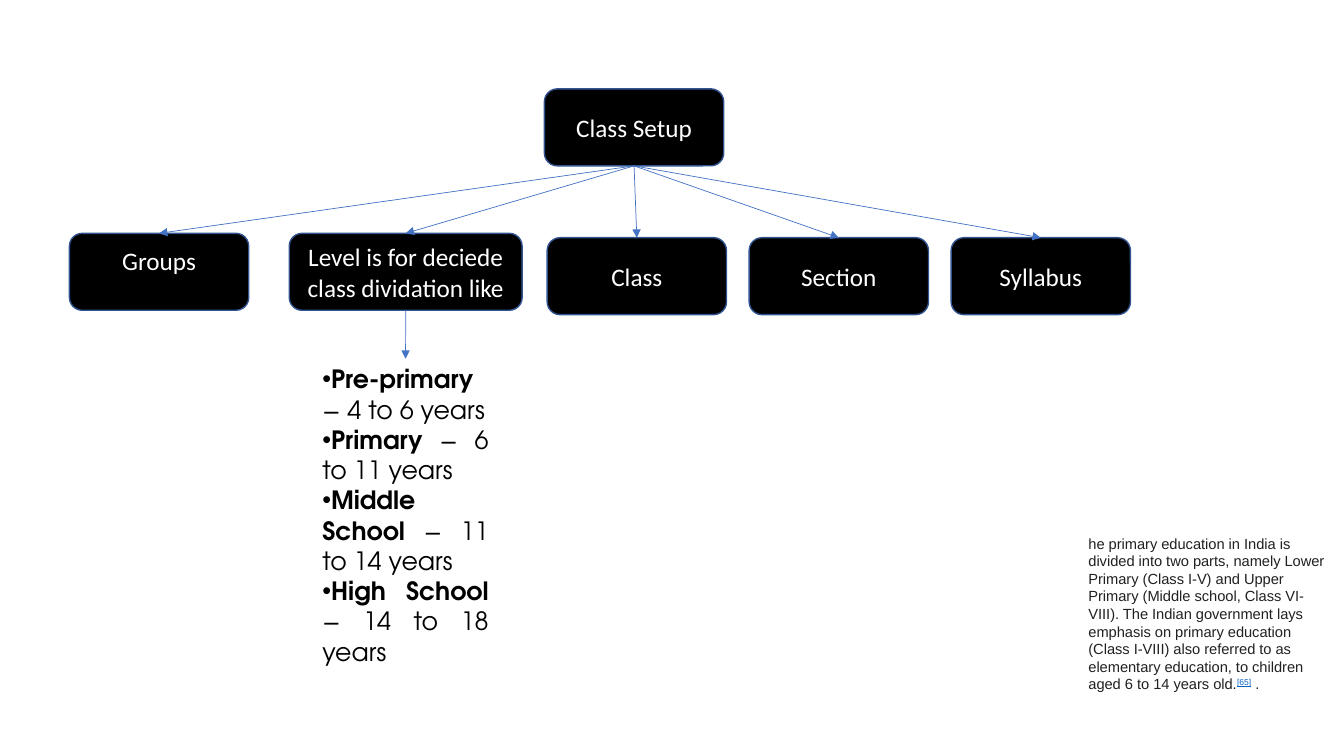
from lxml.etree import SubElement
from pptx import Presentation
from pptx.dml.color import RGBColor
from pptx.enum.shapes import MSO_CONNECTOR as CONN, MSO_SHAPE as SHAPE
from pptx.enum.text import MSO_ANCHOR as ANCHOR, MSO_AUTO_SIZE as FIT, PP_ALIGN as ALIGN
from pptx.oxml.ns import qn
from pptx.util import Cm, Pt

TOP, BOTTOM = 0, 2  # connection sites of a box


def rgb(value):
    return RGBColor.from_string(value)


def apply(target, formats):
    for name, value in formats.items():
        setattr(target, name, value)


class ClassChart:
    BOX_FILL, BOX_LINE, ARROW = "000000", "325491", "4472C4"
    BOX_FONT = {"name": "Calibri", "size": Pt(18)}
    LIST_FONT = {"name": "TeX Gyre Adventor", "size": Pt(18)}
    NOTE_FONT = {"name": "Arial", "size": Pt(10.5)}

    def __init__(self, prs):
        self.s = prs.slides.add_slide(prs.slide_layouts[1])
        title = self.s.shapes.title
        title.element.getparent().remove(title.element)

    def run(self, p, text, font, color, **extra):
        r = p.add_run()
        r.text = text
        apply(r.font, {**font, **extra})
        r.font.color.rgb = rgb(color)
        return r

    def box(self, text, x, y, w=4.52, **frame):
        sp = self.s.shapes.add_shape(SHAPE.ROUNDED_RECTANGLE, Cm(x), Cm(y), Cm(w), Cm(1.94))
        sp.shadow.inherit = False
        sp.fill.solid()
        sp.fill.fore_color.rgb = rgb(self.BOX_FILL)
        sp.line.color.rgb = rgb(self.BOX_LINE)
        sp.line.width = Pt(1)
        tf = sp.text_frame
        apply(tf, {"word_wrap": True, "vertical_anchor": ANCHOR.MIDDLE, **frame})
        p = tf.paragraphs[0]
        p.alignment = ALIGN.CENTER
        self.run(p, text, self.BOX_FONT, "FFFFFF")
        return sp

    def arrow(self, start, end):
        line = self.s.shapes.add_connector(CONN.STRAIGHT, 0, 0, 0, 0)
        line.begin_connect(start, BOTTOM)
        line.end_connect(end, TOP)
        line.line.color.rgb = rgb(self.ARROW)
        line.line.width = Pt(0.5)
        SubElement(line.line._get_or_add_ln(), qn("a:tailEnd"), type="triangle")
        SubElement(line.element.spPr, qn("a:effectLst"))

    def bullets(self, items, x, y, w, h):
        sp = self.s.placeholders[1]
        apply(sp, {"left": Cm(x), "top": Cm(y), "width": Cm(w), "height": Cm(h)})
        tf = sp.text_frame
        apply(tf, {"word_wrap": True, "auto_size": FIT.SHAPE_TO_FIT_TEXT,
                   "vertical_anchor": ANCHOR.TOP})
        for i, (level, ages) in enumerate(items):
            p = tf.add_paragraph() if i else tf.paragraphs[0]
            apply(p, {"alignment": ALIGN.JUSTIFY, "line_spacing": 1.0,
                      "space_before": Pt(0), "space_after": Pt(0)})
            pPr = p._p.get_or_add_pPr()
            apply_indent = {"marL": "0", "indent": "0"}
            for name, value in apply_indent.items():
                pPr.set(name, value)
            SubElement(pPr, qn("a:buFont"), typeface="Arial")
            SubElement(pPr, qn("a:buChar"), char="•")
            self.run(p, level, self.LIST_FONT, "000000", bold=True)
            self.run(p, f" − {ages} years", self.LIST_FONT, "000000", bold=False)
        return sp

    def note(self, text, reference, x, y, w, h):
        tf = self.s.shapes.add_textbox(Cm(x), Cm(y), Cm(w), Cm(h)).text_frame
        apply(tf, {"word_wrap": True, "auto_size": FIT.SHAPE_TO_FIT_TEXT})
        p = tf.paragraphs[0]
        self.run(p, text, self.NOTE_FONT, "202122")
        mark = self.run(p, reference, self.NOTE_FONT, "0563C1", underline=True)
        mark._r.get_or_add_rPr().set("baseline", "30000")
        self.run(p, " .", self.NOTE_FONT, "202122")


def main():
    prs = Presentation()
    apply(prs, {"slide_width": Cm(33.87), "slide_height": Cm(19.05)})
    chart = ClassChart(prs)

    # Root and its branches
    root = chart.box("Class Setup", 13.72, 2.24)
    groups = chart.box("Groups", 1.75, 5.88, vertical_anchor=ANCHOR.TOP, margin_top=Cm(0.2))
    level = chart.box("Level is for deciede class dividation like", 7.29, 5.88, w=5.87)
    others = [chart.box(name, 13.79 + 5.09 * i, 5.99)
              for i, name in enumerate(["Class", "Section", "Syllabus"])]
    for branch in [groups, level, *others]:
        chart.arrow(root, branch)

    # School levels by age
    ages = chart.bullets([("Pre-primary", "4 to 6"), ("Primary", "6 to 11"),
                          ("Middle School", "11 to 14"), ("High School", "14 to 18")],
                         7.87, 9.04, 4.7, 7.19)
    chart.arrow(level, ages)

    # Background note
    chart.note("he primary education in India is divided into two parts, namely Lower Primary "
               "(Class I-V) and Upper Primary (Middle school, Class VI-VIII). The Indian "
               "government lays emphasis on primary education (Class I-VIII) also referred to "
               "as elementary education, to children aged 6 to 14 years old.",
               "[65]", 27.18, 13.34, 6.65, 4.29)

    prs.save("out.pptx")


if __name__ == "__main__":
    main()
